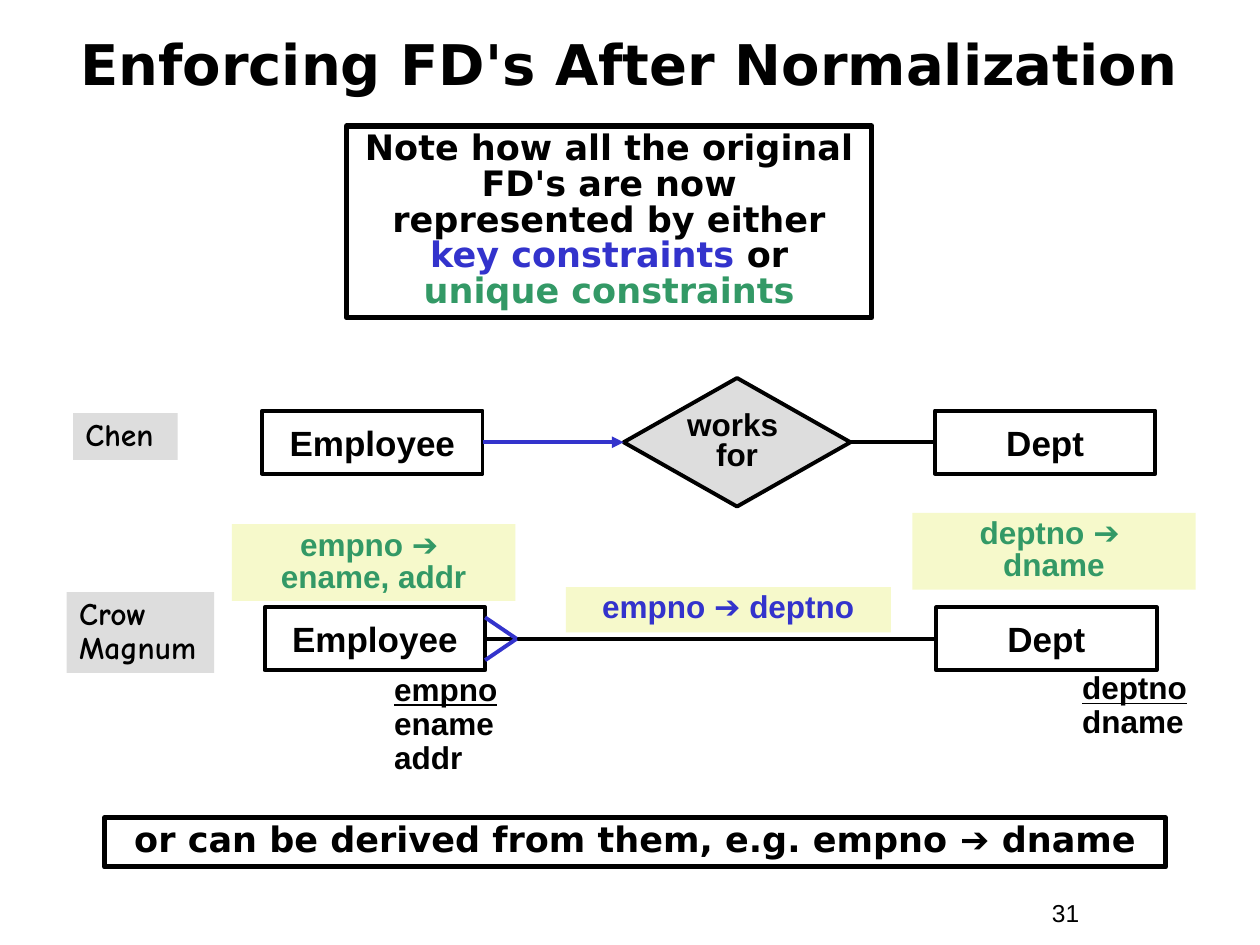
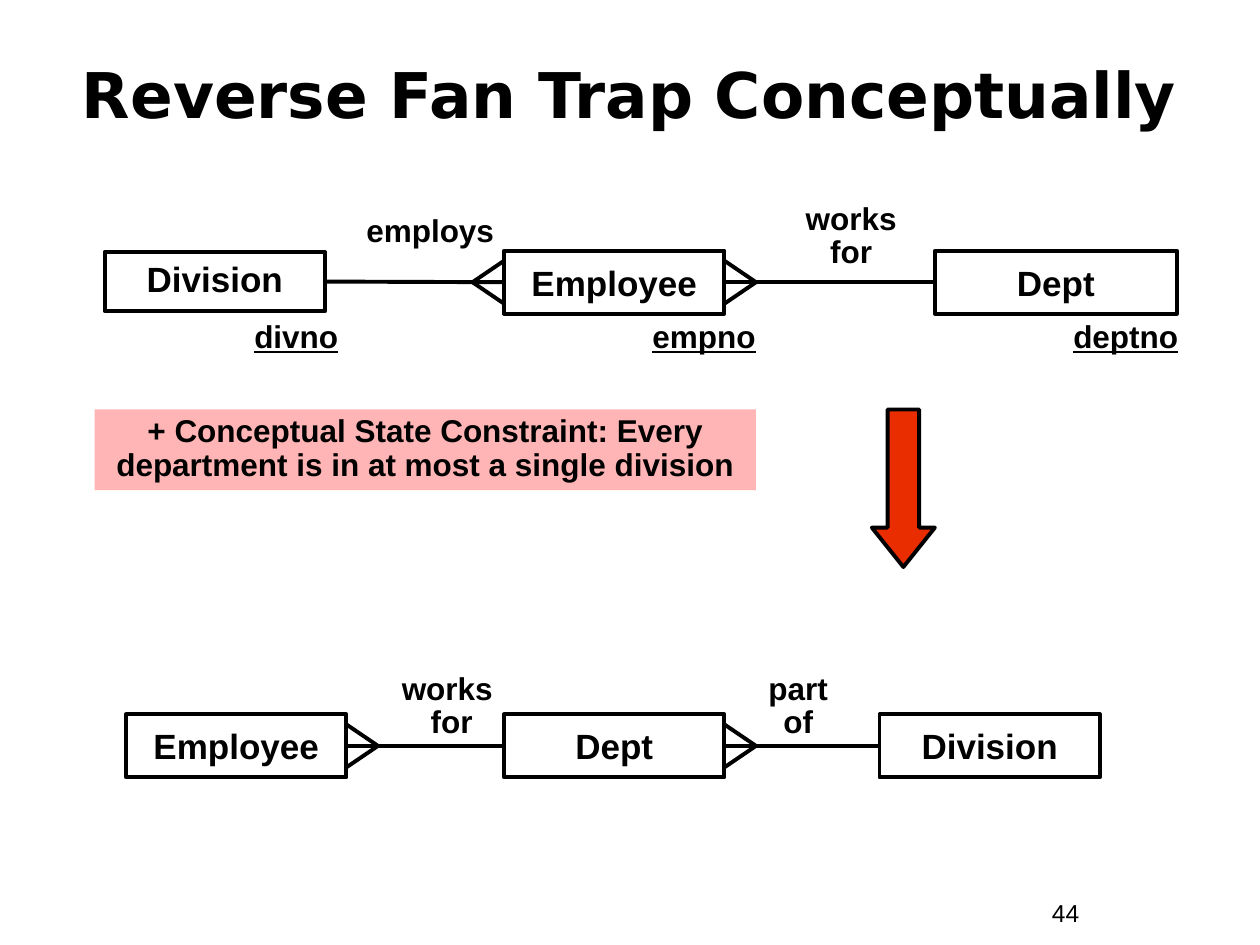
from dataclasses import dataclass

from lxml.etree import SubElement
from pptx import Presentation
from pptx.dml.color import RGBColor
from pptx.enum.shapes import MSO_CONNECTOR, MSO_SHAPE
from pptx.enum.text import MSO_ANCHOR, PP_ALIGN
from pptx.oxml.ns import qn
from pptx.util import Pt

EMU_PER_PX = 9144  # 100 px to the inch
LEFT, RIGHT = 1, 3  # connection sites


def text_style(name, size, alignment=PP_ALIGN.CENTER, line_spacing=1.0, bold=True):
    return {
        "font": {"name": name, "size": Pt(size), "bold": bold},
        "paragraph": {"alignment": alignment, "line_spacing": line_spacing},
    }


@dataclass(frozen=True)
class Theme:
    black = RGBColor.from_string("000000")
    key_blue = RGBColor.from_string("3333CC")
    unique_green = RGBColor.from_string("339966")
    yellow = RGBColor.from_string("F6F9CB")
    grey = RGBColor.from_string("DDDDDD")
    pink = RGBColor.from_string("FFB5B5")
    red = RGBColor.from_string("EA2D00")
    thin = Pt(2.25)
    thick = Pt(3)
    title = text_style("DejaVu Sans", 36, line_spacing=0.85)
    long_title = text_style("DejaVu Sans", 32, line_spacing=0.85)
    callout = text_style("DejaVu Sans", 20, line_spacing=0.85)
    entity = text_style("Arial", 20)
    tight_entity = text_style("Arial", 20, line_spacing=0.85)
    label = text_style("Arial", 18, line_spacing=0.85)
    relationship = text_style("Arial", 18, line_spacing=0.8)
    constraint = text_style("Arial", 18, line_spacing=0.9)
    attribute = text_style("Arial", 18, PP_ALIGN.LEFT, 0.9)
    notation = text_style("Comic Neue", 18, PP_ALIGN.LEFT, 0.9)
    page_number = text_style("Arial", 14, PP_ALIGN.LEFT, bold=False)


def px(*lengths):
    return [length * EMU_PER_PX for length in lengths]


def set_values(target, values):
    for name, value in values.items():
        setattr(target, name, value)


class Deck:
    def __init__(self, theme):
        self.theme = theme
        self.presentation = Presentation()
        width, height = px(1000, 750)
        set_values(self.presentation, {"slide_width": width, "slide_height": height})
        self.slide = None

    def new_slide(self, title, title_top, style, number):
        self.slide = self.presentation.slides.add_slide(self.presentation.slide_layouts[6])
        self.label((33, title_top, 933, 92), title, style, anchor=MSO_ANCHOR.MIDDLE)
        self.label((825, 708, 92, 34), number, self.theme.page_number)

    def fill_text(self, shape, paragraphs, style, color=None, wrap=True, anchor=MSO_ANCHOR.TOP):
        """Fill a shape with paragraphs, each a string or a list of (text, font values)."""
        frame = shape.text_frame
        set_values(frame, {"word_wrap": wrap, "vertical_anchor": anchor})
        if isinstance(paragraphs, str):
            paragraphs = [paragraphs]
        for index, runs in enumerate(paragraphs):
            paragraph = frame.add_paragraph() if index else frame.paragraphs[0]
            set_values(paragraph, style["paragraph"])
            for text, changes in [(runs, {})] if isinstance(runs, str) else runs:
                font_values = style["font"] | changes
                run_color = font_values.pop("color", color or self.theme.black)
                for line_index, line in enumerate(text.split("\n")):
                    if line_index:
                        paragraph.add_line_break()
                    if line:
                        run = paragraph.add_run()
                        run.text = line
                        set_values(run.font, font_values)
                        run.font.color.rgb = run_color

    def label(self, box, text, style, **options):
        self.fill_text(self.slide.shapes.add_textbox(*px(*box)), text, style, **options)

    def shape(self, kind, box, fill=None, border=None):
        shape = self.slide.shapes.add_shape(kind, *px(*box))
        shape.shadow.inherit = False
        if fill:
            shape.fill.solid()
            shape.fill.fore_color.rgb = fill
        else:
            shape.fill.background()
        if border:
            shape.line.color.rgb = self.theme.black
            shape.line.width = border
        else:
            shape.line.fill.background()
        return shape

    def panel(self, box, text, style, fill=None, border=None, color=None):
        panel = self.shape(MSO_SHAPE.RECTANGLE, box, fill, border)
        self.fill_text(panel, text, style, color)

    def node(self, kind, box, text, style, fill=None):
        """Add an outlined diagram node with centred, unwrapped text."""
        node = self.shape(kind, box, fill, self.theme.thin)
        self.fill_text(node, text, style, wrap=False, anchor=MSO_ANCHOR.MIDDLE)
        return node

    def entity(self, name, left, top, width=175, height=50, style=None):
        box = (left, top, width, height)
        return self.node(MSO_SHAPE.RECTANGLE, box, name, style or self.theme.entity)

    def line(self, start, end, color=None):
        """Draw a straight line between two points in EMU."""
        line = self.slide.shapes.add_connector(MSO_CONNECTOR.STRAIGHT, *start, *end)
        line.line.color.rgb = color or self.theme.black
        line.line.width = self.theme.thin
        SubElement(line._element.spPr, qn("a:effectLst"))
        return line

    def join(self, first, second, color=None, arrow=False):
        """Link the right side of one node to the left side of the next."""
        line = self.line((0, 0), (0, 0), color)
        line.begin_connect(first, RIGHT)
        line.end_connect(second, LEFT)
        if arrow:
            SubElement(line.get_or_add_ln(), qn("a:tailEnd"), type="triangle")

    def crow_foot(self, entity, side, color=None):
        reach, spread = px(25, 17)
        edge = entity.left + (entity.width if side == RIGHT else 0)
        middle = entity.top + entity.height // 2
        tip = edge + (reach if side == RIGHT else -reach)
        for offset in (-spread, spread):
            self.line((tip, middle), (edge, middle + offset), color)


def add_normalization_slide(deck):
    theme = deck.theme
    blue, green = {"color": theme.key_blue}, {"color": theme.unique_green}
    deck.new_slide("Enforcing FD's After Normalization", 8, theme.long_title, "31")
    note = [("Note how all the original FD's are now represented by either\n", {}),
            ("key constraints ", blue), ("or ", {}), ("unique constraints", green)]
    deck.panel((275, 100, 417, 152), [note], theme.callout, border=theme.thick)
    derived = [("or can be derived from them, e.g. empno ", {}),
               ("➔", {"name": "Arial"}), (" dname", {})]
    deck.panel((83, 649, 842, 39), [derived], theme.callout, border=theme.thick)

    for box, text in (((58, 328, 83, 37), "Chen"), ((53, 470, 117, 64), "Crow\nMagnum")):
        deck.panel(box, text, theme.notation, fill=theme.grey)

    employee = deck.entity("Employee", 208, 326)
    works_for = deck.node(MSO_SHAPE.FLOWCHART_DECISION, (495, 300, 180, 102),
                          "works \nfor", theme.relationship, theme.grey)
    department = deck.entity("Dept", 742, 326)
    deck.join(employee, works_for, theme.key_blue, arrow=True)
    deck.join(works_for, department)

    employee = deck.entity("Employee", 210, 482)
    department = deck.entity("Dept", 743, 482)
    deck.join(employee, department)
    deck.crow_foot(employee, RIGHT, theme.key_blue)

    dependencies = (
        ((184, 416, 225, 61), "empno ➔ \nename, addr", theme.unique_green),
        ((724, 407, 225, 61), "deptno ➔ \ndname", theme.unique_green),
        ((449, 466, 258, 36), "empno ➔ deptno", theme.key_blue),
    )
    for box, text, color in dependencies:
        deck.panel(box, text, theme.label, fill=theme.yellow, color=color)

    attributes = (((303, 530, 117, 91), "empno", ["ename", "addr"]),
                  ((849, 529, 117, 64), "deptno", ["dname"]))
    for box, key, others in attributes:
        deck.label(box, [[(key, {"underline": True})], *others], theme.attribute)


def add_fan_trap_slide(deck):
    theme = deck.theme
    deck.new_slide("Reverse Fan Trap Conceptually", 33, theme.title, "44")

    division = deck.entity("Division", 83, 200, height=47, style=theme.tight_entity)
    employee = deck.entity("Employee", 400, 199)
    department = deck.entity("Dept", 742, 199, width=192)
    deck.join(division, employee)
    deck.join(employee, department)
    for side in (LEFT, RIGHT):
        deck.crow_foot(employee, side)
    for left, key in ((192, "divno"), (508, "empno"), (842, "deptno")):
        deck.label((left, 250, 117, 37), [[(key, {"underline": True})]], theme.attribute)

    deck.panel((75, 325, 525, 64), "+ Conceptual State Constraint: Every department "
               "is in at most a single division", theme.constraint, fill=theme.pink)
    arrow = deck.shape(MSO_SHAPE.DOWN_ARROW, (692, 325, 50, 125), theme.red, theme.thin)
    arrow.adjustments[0], arrow.adjustments[1] = 0.5, 0.625

    chain = [deck.entity(name, left, 567)
             for name, left in (("Employee", 100), ("Dept", 400), ("Division", 698))]
    for first, second in zip(chain, chain[1:]):
        deck.join(first, second)
        deck.crow_foot(first, RIGHT)

    relationships = (((258, 167, 167, 36), "employs"), ((592, 158, 167, 61), "works\nfor"),
                     ((275, 531, 167, 61), "works \nfor"), ((550, 531, 167, 61), "part\nof"))
    for box, text in relationships:
        deck.label(box, text, theme.label)


def main():
    deck = Deck(Theme())
    add_normalization_slide(deck)
    add_fan_trap_slide(deck)
    deck.presentation.save("out.pptx")


if __name__ == "__main__":
    main()
